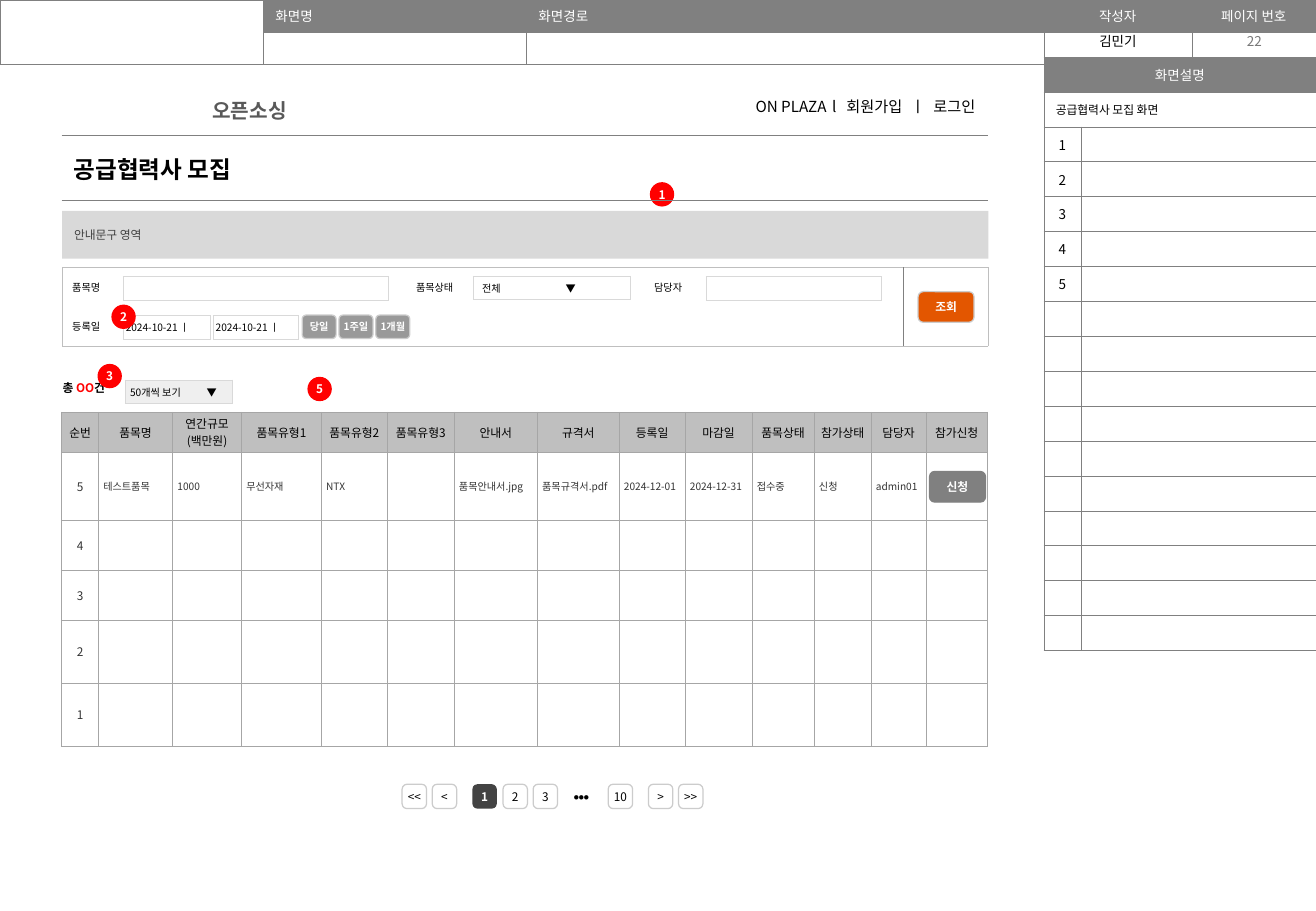
from lxml.etree import SubElement
from pptx import Presentation
from pptx.dml.color import RGBColor
from pptx.enum.shapes import MSO_SHAPE as Shape
from pptx.enum.text import MSO_ANCHOR as Anchor, PP_ALIGN as Align
from pptx.oxml.ns import qn
from pptx.util import Cm, Pt

COLORS = {
    "black": "000000", "white": "FFFFFF", "gray": "808080", "page": "797979",
    "list line": "A6A6A6", "list head": "BFBFBF", "ink": "343434",
    "input line": "D9D9D9", "select": "EFEFEF", "button line": "CCCCCC",
    "button": "999999", "search": "E35600", "current": "434343",
    "badge": "FF0000", "notice ink": "404040", "brand": "595959",
}
FONT = "Noto Sans CJK KR"

# Content: lengths in centimetres
HEADER_COLUMNS = [5.51, 5.5, 10.82, 3.09, 2.6]
HEADER = ["", "화면명", "화면경로", "작성자", "페이지 번호"]
DESCRIPTION = ["화면설명", "공급협력사 모집 화면", "1", "2", "3", "4", "5"] + [""] * 10
LIST_COLUMNS = [0.77, 1.55, 1.44, 1.67, 1.38, 1.4, 1.74, 1.71, 1.38, 1.4, 1.3, 1.19, 1.15, 1.28]
LIST_ROWS = [0.84, 1.42, 1.05, 1.05, 1.3, 1.32]
LIST = [
    ["순번", "품목명", "연간규모\n(백만원)", "품목유형1", "품목유형2", "품목유형3", "안내서",
     "규격서", "등록일", "마감일", "품목상태", "참가상태", "담당자", "참가신청"],
    ["5", "테스트품목", "1000", "무선자재", "NTX", "", "품목안내서.jpg", "품목규격서.pdf",
     "2024-12-01", "2024-12-31", "접수중", "신청", "admin01", ""],
    ["4"], ["3"], ["2"], ["1"],
]
SEARCH_COLUMNS = [1.45, 5.74, 1.68, 3.3, 1.42, 3.98, 1.78]
SEARCH = [["품목명", "", "품목상태", "", "담당자"], ["등록일"]]
# left, top, width, text, left inset, tab stop
INPUTS = [
    (9.9, 5.78, 3.28, "전체\t▼", 0.18, 1.75),
    (2.58, 6.6, 1.82, "2024-10-21 ㅣ", 0.05, None),
    (4.46, 6.6, 1.78, "2024-10-21 ㅣ", 0.05, None),
    (2.58, 5.79, 5.54, "", 0.05, None),
    (14.77, 5.79, 3.66, "", 0.05, None),
]
PERIODS = ["당일", "1주일", "1개월"]
PAGES = [("<<", 8.41), ("<", 9.04), ("1", 9.88), ("2", 10.52), ("3", 11.15),
         ("10", 12.72), (">", 13.56), (">>", 14.19)]
BADGES = [("1", 13.59, 3.81), ("2", 2.33, 6.37), ("5", 6.43, 7.88)]


def color(name):
    return RGBColor.from_string(COLORS[name])


def write(frame, text, size=7, ink="black", bold=False, align=Align.LEFT, font=FONT, tabs=()):
    """Fill a frame; text is a string or a list of (string, ink) spans."""
    lines = [[(line, ink)] for line in text.split("\n")] if isinstance(text, str) else [text]
    for number, spans in enumerate(lines):
        para = frame.add_paragraph() if number else frame.paragraphs[0]
        para.alignment = align
        if tabs:
            stops = SubElement(para._p.get_or_add_pPr(), qn("a:tabLst"))
            for stop in tabs:
                SubElement(stops, qn("a:tab"), pos=str(Cm(stop)), algn="l")
        for words, span_ink in spans:
            if not words:
                SubElement(para._p, qn("a:endParaRPr"), sz=str(size * 100))
                continue
            span = para.add_run()
            span.text = words
            for key, value in {"size": Pt(size), "bold": bold, "name": font}.items():
                setattr(span.font, key, value)
            span.font.color.rgb = color(span_ink)
            SubElement(span._r.get_or_add_rPr(), qn("a:ea"), typeface=FONT)


def set_insets(target, left, top, right, bottom):
    for side, value in zip(("left", "top", "right", "bottom"), (left, top, right, bottom)):
        setattr(target, "margin_" + side, Cm(value))


def draw_borders(cell, lines, width):
    properties = cell._tc.get_or_add_tcPr()
    for side in "LRTB":
        line = SubElement(properties, qn("a:ln" + side), w=str(Pt(width)))
        if side in lines:
            fill = SubElement(line, qn("a:solidFill"))
            SubElement(fill, qn("a:srgbClr"), val=COLORS[lines[side]])
        else:
            SubElement(line, qn("a:noFill"))


def add_grid(left, top, columns, rows, texts, style, lines, width=0.25,
             insets=(0.25, 0.13, 0.25, 0.13), merges=()):
    """style(row, column) gives text format and fill, lines(row, column) the borders."""
    grid = page.shapes.add_table(len(rows), len(columns), Cm(left), Cm(top),
                                 Cm(sum(columns)), Cm(sum(rows))).table
    grid.first_row = grid.horz_banding = False
    for column, size in zip(grid.columns, columns):
        column.width = Cm(size)
    for row, size in zip(grid.rows, rows):
        row.height = Cm(size)
    for start, end in merges:
        grid.cell(*start).merge(grid.cell(*end))
    for r in range(len(rows)):
        for c in range(len(columns)):
            cell = grid.cell(r, c)
            look = dict(style(r, c))
            fill = look.pop("fill", None)
            write(cell.text_frame, texts[r][c] if c < len(texts[r]) else "", **look)
            set_insets(cell, *insets)
            cell.vertical_anchor = Anchor.MIDDLE
            draw_borders(cell, lines(r, c), width)
            if fill:
                cell.fill.solid()
                cell.fill.fore_color.rgb = color(fill)
            else:
                cell.fill.background()


def all_sides(name):
    return lambda r, c: dict.fromkeys("LRTB", name)


def add_field(left, top, width, text, inset, tab, fill="white"):
    add_grid(left, top, [width], [0.49], [[text]],
             lambda r, c: {"size": 6, "fill": fill, "tabs": [tab] if tab else ()},
             all_sides("input line"), 0.75, (inset, 0.05, 0.05, 0.05))


def add_box(left, top, width, height, text, fill=None, line=None, kind=Shape.ROUNDED_RECTANGLE,
            round_by=0.167, inset=0, **look):
    box = page.shapes.add_shape(kind, Cm(left), Cm(top), Cm(width), Cm(height))
    box.shadow.inherit = False
    if kind == Shape.ROUNDED_RECTANGLE:
        box.adjustments[0] = round_by
    if fill:
        box.fill.solid()
        box.fill.fore_color.rgb = color(fill)
    else:
        box.fill.background()
    if line:
        box.line.color.rgb = color(line)
        box.line.width = Pt(0.75)
    else:
        box.line.fill.background()
    fill_frame(box.text_frame, text, inset, **{"align": Align.CENTER, **look})


def add_label(left, top, width, height, text, inset=0, **look):
    box = page.shapes.add_textbox(Cm(left), Cm(top), Cm(width), Cm(height))
    fill_frame(box.text_frame, text, inset, **look)


def fill_frame(frame, text, inset, **look):
    frame.word_wrap = True
    frame.vertical_anchor = Anchor.MIDDLE
    set_insets(frame, inset, 0, inset, 0)
    write(frame, text, **look)


def add_badge(text, left, top):
    add_box(left, top, 0.51, 0.51, text, "badge", round_by=0.5, ink="white", bold=True)


def header_style(r, c):
    return {"size": 8, "ink": "white", "fill": "gray" if r == 0 and c else None,
            "align": Align.CENTER if c > 2 else Align.LEFT}


def description_style(r, c):
    return {"size": 7 if r == 1 else 8, "ink": "black" if r else "white",
            "fill": None if r else "gray", "align": Align.LEFT if r == 1 else Align.CENTER}


def list_style(r, c):
    if r == 0:
        return {"align": Align.CENTER, "fill": "list head"}
    return {"ink": "ink", "size": 6 if c else 7, "align": Align.LEFT if c else Align.CENTER}


def search_lines(r, c):
    lines = {"T" if r == 0 else "B": "list head"}
    if c == 6:
        lines.update(T="list head", B="list head", L="gray", R="list head")
    elif c == 5:
        lines["R"] = "gray"
    elif c == 0:
        lines["L"] = "list head"
    return lines


deck = Presentation()
deck.slide_width, deck.slide_height = Cm(27.52), Cm(19.05)
page = deck.slides.add_slide(deck.slide_layouts[6])

# Document header
add_grid(0, 0, HEADER_COLUMNS, [0.67] * 2, [HEADER, []], header_style, all_sides("gray"),
         insets=(0.25, 0.1, 0.25, 0.1), merges=[((0, 0), (1, 0))])
add_label(21.82, 0.56, 3.12, 0.61, "김민기", size=8, align=Align.CENTER)
add_label(24.95, 0.56, 2.57, 0.61, "22", size=8, ink="page", align=Align.CENTER)

# Item list and screen description
add_grid(1.29, 8.62, LIST_COLUMNS, LIST_ROWS, LIST, list_style, all_sides("list line"), 0.5,
         (0.1, 0.05, 0.1, 0.05))
add_grid(21.83, 1.19, [0.77, 4.92], [0.73] * 17, [[text] for text in DESCRIPTION],
         description_style, all_sides("gray"), merges=[((r, 0), (r, 1)) for r in (0, 1)])

# Item count
add_field(2.62, 7.95, 2.24, "50개씩 보기\t▼", 0.1, 1.6, "select")
add_label(1.31, 7.81, 1.4, 0.6, [("총", "black"), (" OO", "badge"), ("건", "black")], bold=True)

# Pagination
for label, left in PAGES:
    current = label == "1"
    add_box(left, 16.4, 0.51, 0.51, label, "current" if current else None,
            None if current else "button line", round_by=0.2,
            ink="white" if current else "black", bold=current)
add_label(11.78, 16.4, 0.76, 0.51, "⦁⦁⦁", size=6, align=Align.CENTER)
add_badge("3", 2.04, 7.61)

# Search form
add_grid(1.31, 5.59, SEARCH_COLUMNS, [0.82] * 2, SEARCH, lambda r, c: {"size": 6}, search_lines,
         insets=(0.2, 0.1, 0.2, 0.1), merges=[((0, 6), (1, 6))])
add_box(19.2, 6.1, 1.17, 0.64, "조회", "search", "button line", ink="white", bold=True)
for field in INPUTS:
    add_field(*field)
for number, period in enumerate(PERIODS):
    add_box(6.32 + 0.77 * number, 6.59, 0.71, 0.49, period, "button", "button line",
            size=6, ink="white", bold=True)
for badge in BADGES:
    add_badge(*badge)

# Notice, site header and title
add_box(1.3, 4.41, 19.37, 1, "안내문구 영역", "input line", kind=Shape.RECTANGLE, inset=0.25,
        ink="notice ink", font="Lato", align=Align.LEFT)
add_label(4.19, 1.93, 2.24, 0.76, "오픈소싱", 0.25, size=12, ink="brand", bold=True)
add_label(15.8, 1.85, 4.85, 0.76, "ON PLAZA\tl\t회원가입\tㅣ\t로그인", size=9,
          tabs=[1.6, 1.9, 3.25, 3.72])
add_grid(1.29, 2.83, [19.38], [1.36], [["공급협력사 모집"]],
         lambda r, c: {"size": 14, "bold": True}, lambda r, c: {"T": "gray", "B": "gray"})

# Apply button
add_box(19.44, 9.86, 1.17, 0.64, "신청", "gray", "gray", ink="white", bold=True)

deck.save("out.pptx")
